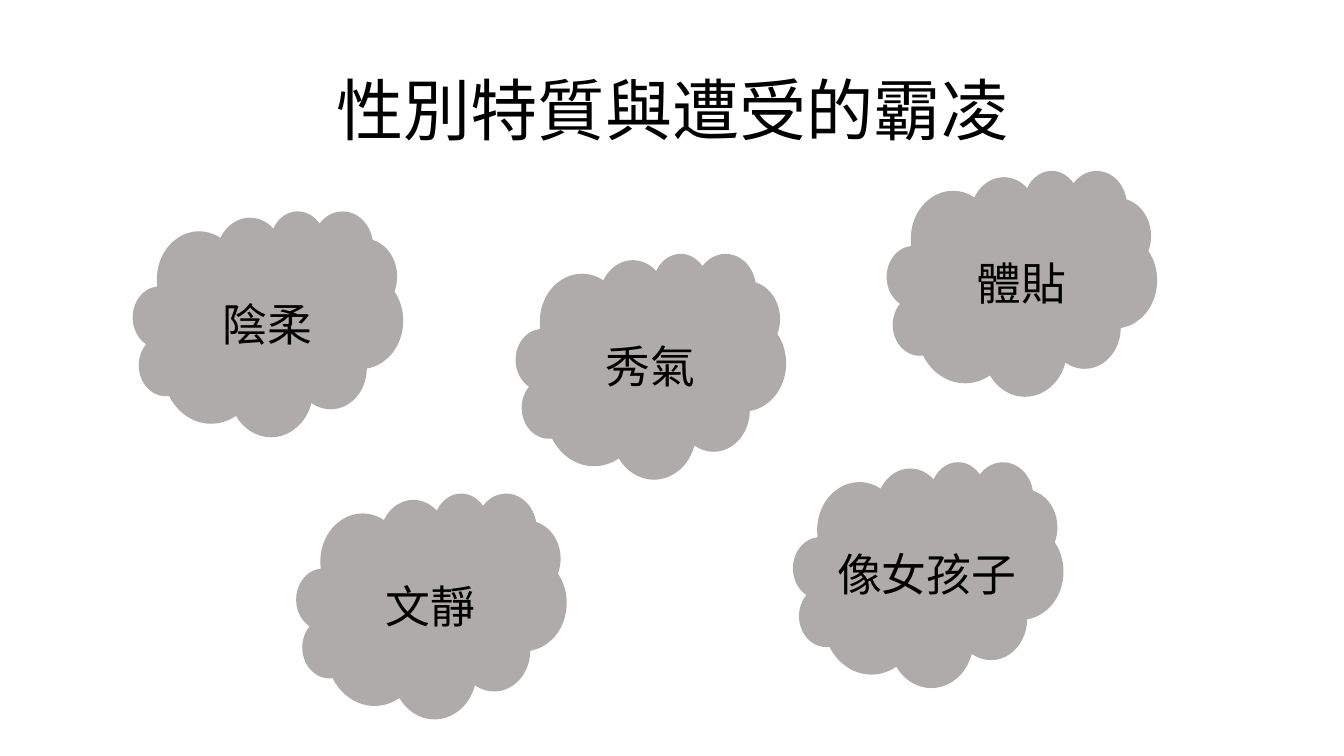
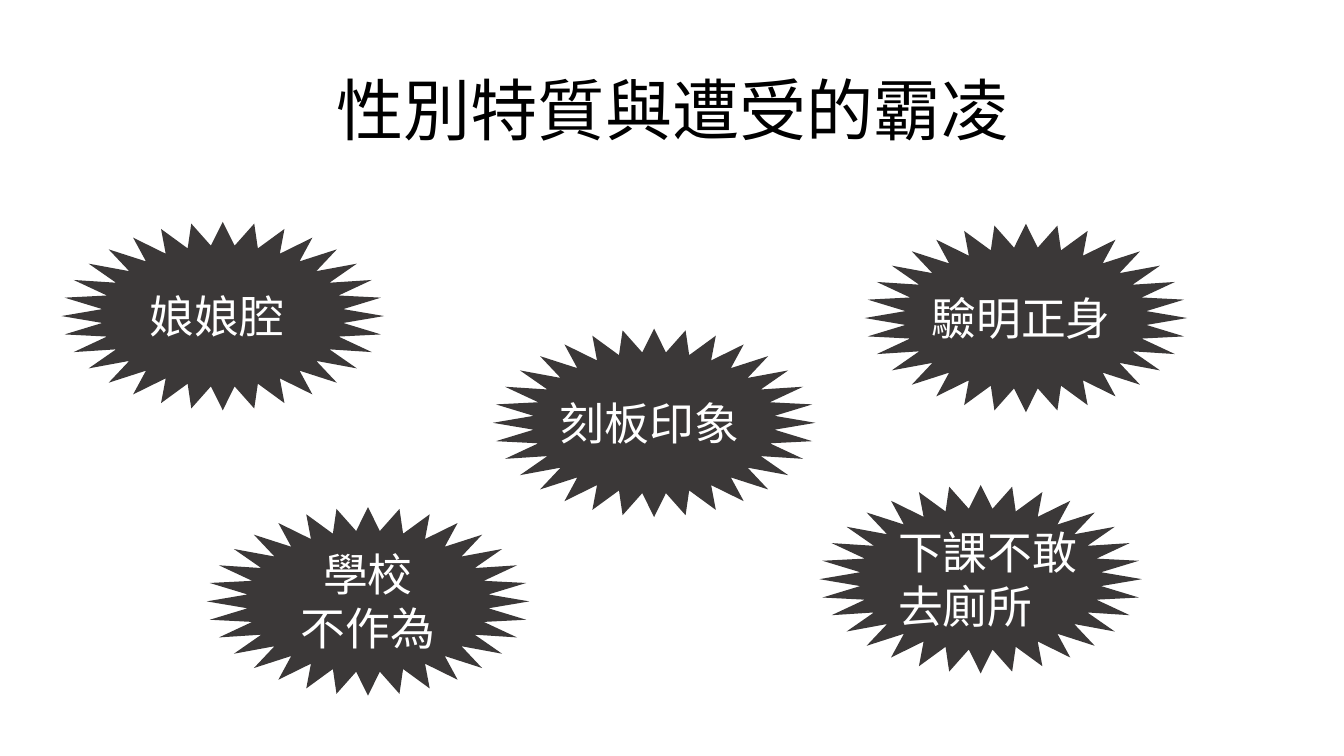
from math import ceil

from lxml.etree import SubElement
from pptx import Presentation
from pptx.dml.color import RGBColor
from pptx.enum.shapes import MSO_SHAPE
from pptx.enum.text import MSO_ANCHOR, PP_ALIGN
from pptx.oxml.ns import qn
from pptx.util import Cm, Pt

FONT = "Noto Sans CJK SC"
BLACK = RGBColor(0x00, 0x00, 0x00)
WHITE = RGBColor(0xFF, 0xFF, 0xFF)
CLOUD_GRAY = RGBColor(0xAF, 0xAB, 0xAB)
STAR_GRAY = RGBColor(0x3B, 0x38, 0x38)

TITLE = "性別特質與遭受的霸凌"
LABEL_COLUMNS = 4  # characters that fit on one line of a label


def write_text(frame, text, *, size, color, align=PP_ALIGN.LEFT,
               anchor=MSO_ANCHOR.TOP, line_spacing=None):
    """Fill a text frame, one paragraph for each line of the text."""
    frame.word_wrap = True
    frame.vertical_anchor = anchor
    for index, line in enumerate(text.split("\n")):
        paragraph = frame.add_paragraph() if index else frame.paragraphs[0]
        paragraph.alignment = align
        paragraph.line_spacing = line_spacing
        run = paragraph.add_run()
        run.text = line
        run.font.size = Pt(size)
        run.font.color.rgb = color
        run.font.name = FONT
        # East Asian characters take their own typeface element
        SubElement(run._r.get_or_add_rPr(), qn("a:ea")).set("typeface", FONT)


class Deck:
    """Holds the shared style and the current slide."""

    def __init__(self):
        self.presentation = Presentation()
        self.presentation.slide_width = Cm(33.87)
        self.presentation.slide_height = Cm(19.05)
        self.slide = None

    def add_slide(self, title):
        blank_layout = self.presentation.slide_layouts[6]
        self.slide = self.presentation.slides.add_slide(blank_layout)
        box = self.slide.shapes.add_textbox(Cm(2.34), Cm(1.02), Cm(29.21), Cm(3.68))
        write_text(box.text_frame, title, size=48, color=BLACK,
                   align=PP_ALIGN.CENTER, anchor=MSO_ANCHOR.MIDDLE, line_spacing=0.9)

    def add_bubble(self, text, left, top, *, kind, size, fill, color,
                   nudge=0, align=PP_ALIGN.LEFT):
        """Group a shape with a label centred on it, moved right by nudge."""
        width, height = size
        group = self.slide.shapes.add_group_shape()
        shape = group.shapes.add_shape(kind, Cm(left), Cm(top), Cm(width), Cm(height))
        shape.shadow.inherit = False
        shape.fill.solid()
        shape.fill.fore_color.rgb = fill
        shape.line.fill.background()

        # The label grows with its characters and its wrapped lines
        lines = text.split("\n")
        columns = min(LABEL_COLUMNS, max(len(line) for line in lines))
        rows = sum(ceil(len(line) / LABEL_COLUMNS) for line in lines)
        label_width = 0.98 + 1.07 * columns
        label_height = 0.26 + 1.37 * rows
        label = group.shapes.add_textbox(
            Cm(left + (width - label_width) / 2 + nudge),
            Cm(top + (height - label_height) / 2),
            Cm(label_width), Cm(label_height))
        write_text(label.text_frame, text, size=32, color=color, align=align)


def main():
    deck = Deck()

    # Traits
    deck.add_slide(TITLE)
    for text, left, top, nudge in (
        ("陰柔", 3.35, 5.31, 0.16),
        ("秀氣", 13.0, 6.38, 0.16),
        ("體貼", 22.35, 4.29, 0.16),
        ("文靜", 7.47, 12.42, 0.16),
        ("像女孩子", 19.99, 11.63, 0.08),
    ):
        deck.add_bubble(text, left, top, nudge=nudge, kind=MSO_SHAPE.CLOUD,
                        size=(6.81, 5.69), fill=CLOUD_GRAY, color=BLACK)

    # Bullying
    deck.add_slide(TITLE)
    for text, left, top, nudge, align in (
        ("娘娘腔", 1.55, 5.59, 0, PP_ALIGN.LEFT),
        ("驗明正身", 21.79, 5.64, 0, PP_ALIGN.LEFT),
        ("學校\n不作為", 5.21, 12.78, 0, PP_ALIGN.CENTER),
        ("刻板印象", 12.42, 8.28, 0, PP_ALIGN.LEFT),
        ("下課不敢去廁所", 20.65, 12.22, 0.3, PP_ALIGN.LEFT),
    ):
        # The two-line centred label is one column wider than its text
        deck.add_bubble(text, left, top, nudge=nudge, align=align,
                        kind=MSO_SHAPE.STAR_32_POINT, size=(8.13, 4.75),
                        fill=STAR_GRAY, color=WHITE)

    deck.presentation.save("out.pptx")


if __name__ == "__main__":
    main()
